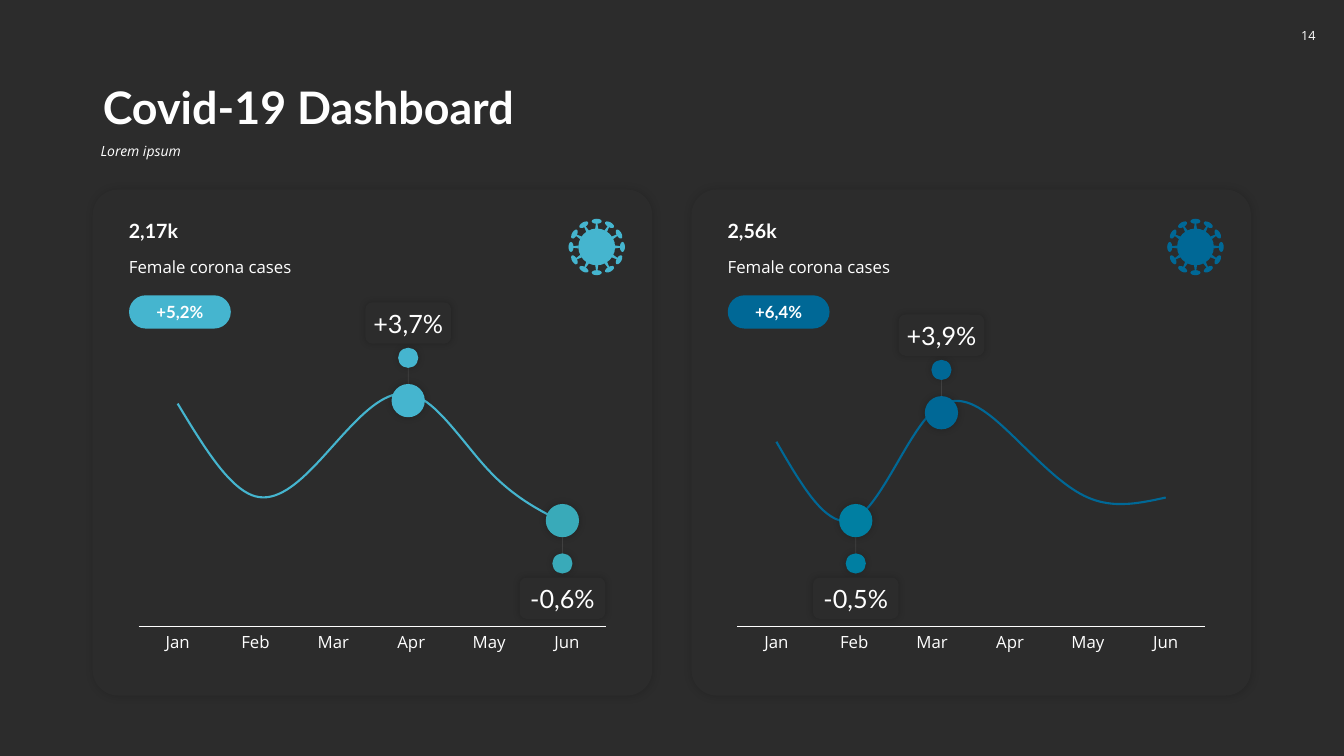
from dataclasses import dataclass
from math import cos, radians, sin

from lxml import etree
from pptx import Presentation
from pptx.chart.data import CategoryChartData
from pptx.dml.color import RGBColor
from pptx.enum.chart import XL_CHART_TYPE, XL_TICK_MARK
from pptx.enum.shapes import MSO_CONNECTOR, MSO_SHAPE
from pptx.enum.text import MSO_ANCHOR, PP_ALIGN
from pptx.oxml import parse_xml
from pptx.oxml.ns import qn
from pptx.util import Inches, Pt

ROUND, OVAL, WEDGE = MSO_SHAPE.ROUNDED_RECTANGLE, MSO_SHAPE.OVAL, MSO_SHAPE.TRAPEZOID
TOP, MIDDLE, BOTTOM = MSO_ANCHOR.TOP, MSO_ANCHOR.MIDDLE, MSO_ANCHOR.BOTTOM
LEFT, CENTER = PP_ALIGN.LEFT, PP_ALIGN.CENTER
LINE, NO_TICK = XL_CHART_TYPE.LINE, XL_TICK_MARK.NONE
STRAIGHT = MSO_CONNECTOR.STRAIGHT

# The grid has 160 columns and 90 rows of square cells
COLS, ROWS = 160, 90
CELL = Inches(1 / 12)
MONTHS = ("Jan", "Feb", "Mar", "Apr", "May", "Jun")
CHART_NS = "http://schemas.openxmlformats.org/drawingml/2006/chart"
PLOT = {"x": 0.02, "y": 0.02, "w": 0.96, "h": 0.86}


@dataclass(frozen=True)
class Theme:
    dark: str = "2C2C2C"
    white: str = "FFFFFF"
    sky: str = "45B5CF"
    teal: str = "39AAB9"
    blue: str = "006896"
    sea: str = "007FA2"
    head: str = "Lato"
    body: str = "Open Sans"
    title: int = 32
    mark: int = 18
    value: int = 14
    text: int = 12
    note: int = 10
    page: int = 9


@dataclass(frozen=True)
class Shade:
    alpha: int
    blur: int
    dist: int


@dataclass(frozen=True)
class Mark:
    text: str
    x: float
    y: float
    side: int  # -1 label above the point, 1 below
    color: str


@dataclass(frozen=True)
class Panel:
    x: float
    value: str
    change: str
    color: str
    top: int
    data: tuple[int, ...]
    marks: tuple[Mark, ...]


THEME = Theme()
SOFT, WIDE = Shade(20, 5, 0), Shade(15, 6, 1)
PANEL_Y = 22.56
PANELS = (
    Panel(11.04, "2,17k", "+5,2%", THEME.sky, 111, (96, 56, 78, 100, 67, 44),
          (Mark("+3,7%", 37.56, 25.14, -1, THEME.sky),
           Mark("-0,6%", 55.92, 39.42, 1, THEME.teal))),
    Panel(82.32, "2,56k", "+6,4%", THEME.blue, 120, (86, 50, 100, 90, 60, 60),
          (Mark("+3,9%", 29.76, 26.58, -1, THEME.blue),
           Mark("-0,5%", 19.56, 39.42, 1, THEME.sea))),
)


def grid(*cells: float) -> list[int]:
    return [round(c * CELL) for c in cells]


def rgb(color: str) -> RGBColor:
    return RGBColor.from_string(color)


def style(font, size: int, face: str, bold: bool = False, italic: bool = False) -> None:
    font.size, font.name, font.bold, font.italic = Pt(size), face, bold, italic
    font.color.rgb = rgb(THEME.white)


def write(shape, text: str, size: int, face: str, bold: bool = False,
          italic: bool = False, align=LEFT, anchor=TOP, pad: float = 0.1,
          wrap: bool = True) -> None:
    frame = shape.text_frame
    frame.word_wrap, frame.vertical_anchor = wrap, anchor
    frame.margin_left = frame.margin_right = Inches(pad)
    line = frame.paragraphs[0]
    line.text, line.alignment = text, align
    style(line.font, size, face, bold, italic)


def cast(shape, shade: Shade) -> None:
    effect = shape._element.spPr.find(qn("a:effectLst"))
    outer = etree.SubElement(effect, qn("a:outerShdw"), blurRad=str(Pt(shade.blur)),
                             dist=str(Pt(shade.dist)), dir="2700000",
                             algn="ctr", rotWithShape="0")
    tint = etree.SubElement(outer, qn("a:srgbClr"), val="000000")
    etree.SubElement(tint, qn("a:alpha"), val=str(shade.alpha * 1000))


def block(shapes, kind, x: float, y: float, w: float, h: float, color: str,
          adj: float | None = None, shade: Shade | None = None):
    shape = shapes.add_shape(kind, *grid(x, y, w, h))
    shape.shadow.inherit = False
    shape.fill.solid()
    shape.fill.fore_color.rgb = rgb(color)
    shape.line.fill.background()
    if adj is not None:
        shape.adjustments[0] = adj
    if shade:
        cast(shape, shade)
    return shape


def spot(shapes, kind, x: float, y: float, w: float, h: float, color: str, **more):
    """Draw a block around its centre."""
    return block(shapes, kind, x - w / 2, y - h / 2, w, h, color, **more)


def draw_curve(shapes, panel: Panel) -> None:
    data = CategoryChartData()
    data.categories = MONTHS
    data.add_series("Series 1", panel.data)
    chart = shapes.add_chart(LINE, *grid(panel.x + 4.32, PANEL_Y + 20.64, 57.96, 35.64),
                             data).chart
    chart.has_legend = chart.has_title = False
    style(chart.font, THEME.text, THEME.body)
    axis = chart.category_axis
    axis.major_tick_mark = axis.minor_tick_mark = NO_TICK
    axis.format.line.color.rgb, axis.format.line.width = rgb(THEME.white), Pt(0.75)
    scale = chart.value_axis
    scale.minimum_scale, scale.maximum_scale = 0, panel.top
    scale.has_major_gridlines = scale.visible = False
    curve = chart.plots[0].series[0]
    curve.smooth = True
    curve.format.line.color.rgb, curve.format.line.width = rgb(panel.color), Pt(1.5)
    # Fixed inner plot area
    area = chart._chartSpace.chart.plotArea
    for old in area.findall(qn("c:layout")):
        area.remove(old)
    rule = "".join(f'<c:{key} val="{val}"/>' for key, val in PLOT.items())
    area.insert(0, parse_xml(
        f'<c:layout xmlns:c="{CHART_NS}"><c:manualLayout><c:layoutTarget val="inner"/>'
        f'<c:xMode val="edge"/><c:yMode val="edge"/>{rule}</c:manualLayout></c:layout>'))


def draw_mark(shapes, mark: Mark, left: float) -> None:
    x, y, side = left + mark.x, PANEL_Y + mark.y, mark.side
    spot(shapes, OVAL, x, y, 3.96, 3.96, mark.color, shade=SOFT)
    stem = shapes.add_connector(STRAIGHT, *grid(x, y + side * 1.98, x, y + side * 3.9))
    stem.line.color.rgb, stem.line.width = rgb(THEME.white), Pt(0.5)
    tint = stem._element.spPr.find(".//" + qn("a:srgbClr"))
    etree.SubElement(tint, qn("a:alpha"), val="10000")
    etree.SubElement(stem._element.spPr, qn("a:effectLst"))
    spot(shapes, OVAL, x, y + side * 5.1, 2.4, 2.4, mark.color, shade=SOFT)
    label = spot(shapes, ROUND, x, y + side * 9.24, 10.2, 4.92, THEME.dark, shade=SOFT)
    write(label, mark.text, THEME.mark, THEME.head, align=CENTER, anchor=MIDDLE, pad=0.04)


def draw_virus(shapes, x: float, y: float, color: str) -> None:
    group = shapes.add_group_shape().shapes
    spot(group, OVAL, x, y, 4.38, 4.38, color)
    for turn in range(0, 360, 30):
        dx, dy = sin(radians(turn)), -cos(radians(turn))
        knob = spot(group, OVAL, x + 3.06 * dx, y + 3.06 * dy, 1.2, 0.6, color)
        stalk = spot(group, WEDGE, x + 2.5 * dx, y + 2.5 * dy, 0.36, 0.72, color, adj=0.27)
        knob.rotation = stalk.rotation = turn


def draw_panel(shapes, panel: Panel) -> None:
    x, y = panel.x, PANEL_Y
    block(shapes, ROUND, x, y, 66.6, 60.24, THEME.dark, adj=0.05, shade=WIDE)
    value = shapes.add_textbox(*grid(x + 3.12, y + 2.76, 60.12, 4.08))
    write(value, panel.value, THEME.value, THEME.head, bold=True, anchor=BOTTOM)
    label = shapes.add_textbox(*grid(x + 3.12, y + 7.44, 60.12, 3.6))
    write(label, "Female corona cases", THEME.text, THEME.body)
    pill = block(shapes, ROUND, x + 4.32, y + 12.6, 12.12, 3.96, panel.color, adj=0.5)
    write(pill, panel.change, THEME.text, THEME.head, bold=True, align=CENTER,
          anchor=MIDDLE, pad=0)
    draw_curve(shapes, panel)
    for mark in panel.marks:
        draw_mark(shapes, mark, x)
    draw_virus(shapes, x + 60, y + 6.84, panel.color)


def main() -> None:
    deck = Presentation()
    deck.slide_width, deck.slide_height = grid(COLS, ROWS)
    slide = deck.slides.add_slide(deck.slide_layouts[5])
    slide.background.fill.solid()
    slide.background.fill.fore_color.rgb = rgb(THEME.dark)
    shapes = slide.shapes

    # Heading and page number
    title = shapes.title
    title.left, title.top, title.width, title.height = grid(11.04, 6.96, 138, 9.6)
    write(title, "Covid-19 Dashboard", THEME.title, THEME.head, bold=True, anchor=BOTTOM)
    note = shapes.add_textbox(*grid(10.8, 16.56, 138.24, 4.32))
    write(note, "Lorem ipsum", THEME.note, THEME.body, italic=True)
    for item in (title, note):
        item.text_frame.paragraphs[0].line_spacing = 0.9
    page = block(shapes, ROUND, 153.6, 2.16, 4.32, 4.2, THEME.dark, adj=0.27)
    write(page, "14", THEME.page, THEME.body, align=CENTER, anchor=MIDDLE, pad=0, wrap=False)

    # Case panels
    for panel in PANELS:
        draw_panel(shapes, panel)
    deck.save("out.pptx")


if __name__ == "__main__":
    main()
